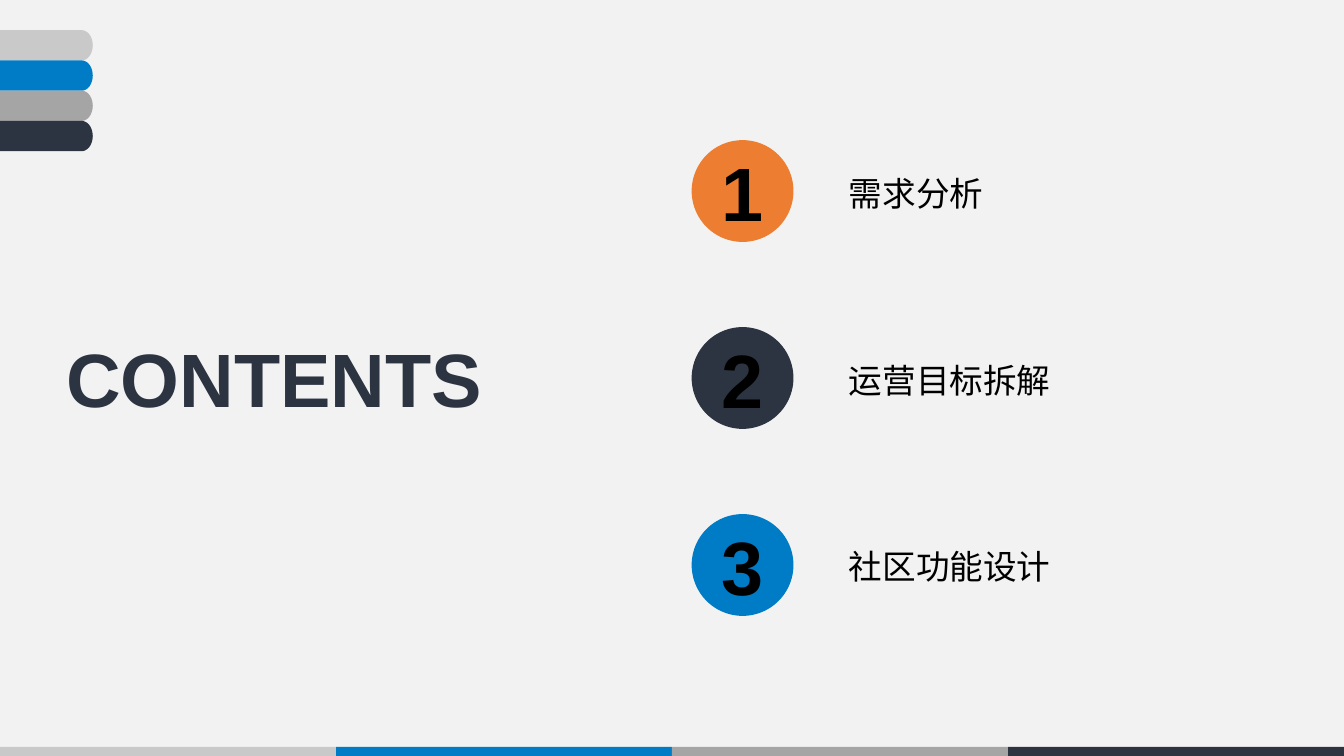
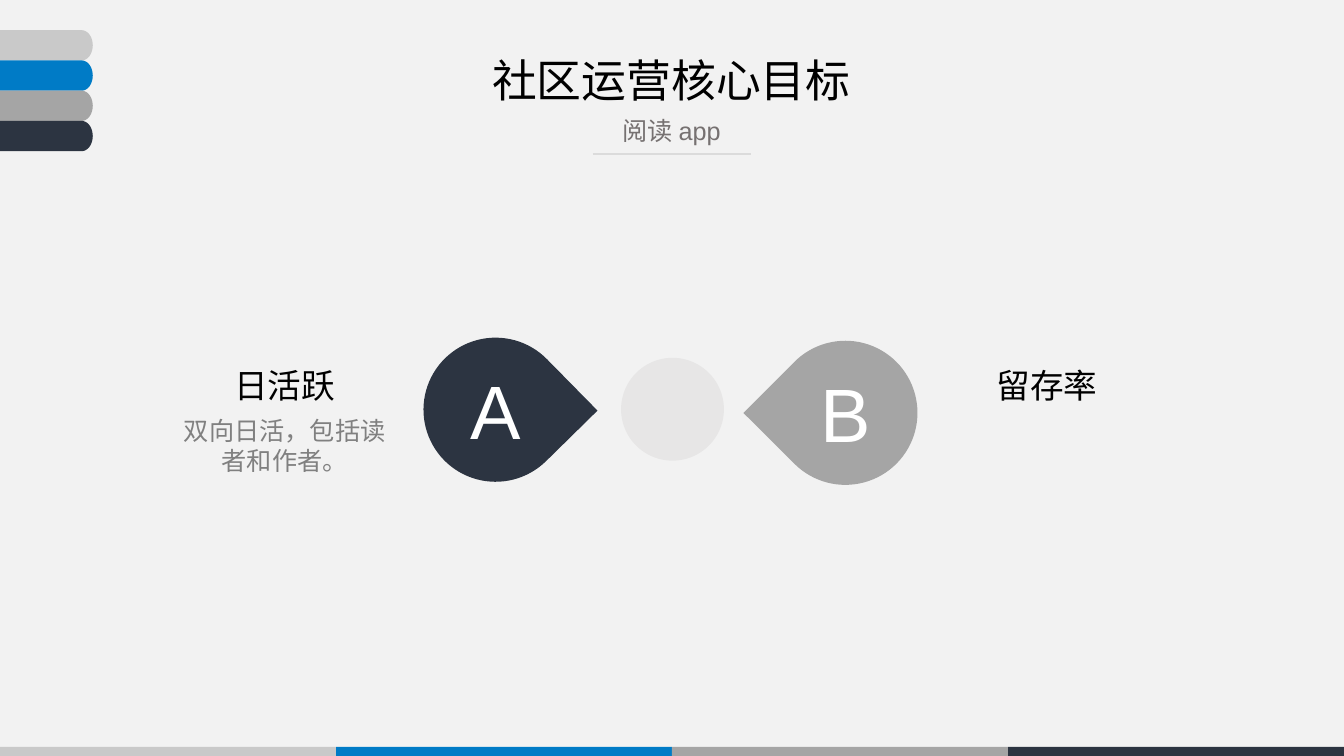
import math

import pptx
import pptx.dml.color
import pptx.enum.shapes
import pptx.enum.text
import pptx.oxml.ns
import pptx.util
from lxml import etree
from pptx.util import Inches

FONT = "Arial"
COLORS = {
    "paper": "F2F2F2", "silver": "C9C9C9", "blue": "007BC6", "gray": "A5A5A5",
    "navy": "2C3441", "orange": "ED7D31", "black": "000000", "white": "FFFFFF",
    "pale": "E7E6E6", "rule": "DBDBDB", "subtitle": "767171", "detail": "808080",
}
THEME_BANDS = ["silver", "blue", "gray", "navy"]
CHAPTERS = [("需求分析", "orange"), ("运营目标拆解", "navy"), ("社区功能设计", "blue")]
# letter, colour, drop left, drop top, rotation, text left, heading, detail
GOALS = [
    ("A", "navy", 4.2, 3.35, 45.5, 1.66, "日活跃", "双向日活，包括读者和作者。"),
    ("B", "gray", 7.67, 3.38, 224.9, 9.22, "留存率", ""),
]

SHAPE = pptx.enum.shapes.MSO_SHAPE
ANCHOR = pptx.enum.text.MSO_ANCHOR
ALIGN = pptx.enum.text.PP_ALIGN


def rgb(name):
    return pptx.dml.color.RGBColor.from_string(COLORS[name])


def paint(shape, color):
    shape.shadow.inherit = False
    shape.fill.solid()
    shape.fill.fore_color.rgb = rgb(color)
    shape.line.fill.background()
    return shape


def add_figure(slide, kind, left, top, width, height, color):
    shape = slide.shapes.add_shape(
        kind, Inches(left), Inches(top), Inches(width), Inches(height))
    return paint(shape, color)


def write(shape, text, size, color, bold=False, align=ALIGN.CENTER,
          anchor=ANCHOR.TOP, wrap=True, spacing=1.0, before=0):
    frame = shape.text_frame
    frame.auto_size = pptx.enum.text.MSO_AUTO_SIZE.NONE
    frame.word_wrap = wrap
    frame.vertical_anchor = anchor
    para = frame.paragraphs[0]
    para.alignment = align
    para.line_spacing = spacing
    para.space_before = pptx.util.Pt(before)
    span = para.add_run()
    span.text = text
    span.font.name = FONT
    span.font.size = pptx.util.Pt(size)
    span.font.bold = bold
    span.font.color.rgb = rgb(color)


def add_text(slide, left, top, width, height, text, size, color, **style):
    box = slide.shapes.add_textbox(
        Inches(left), Inches(top), Inches(width), Inches(height))
    write(box, text, size, color, **style)


def set_title(slide, left, top, width, height, text, size, color, **style):
    title = slide.shapes.title
    title.left, title.top = Inches(left), Inches(top)
    title.width, title.height = Inches(width), Inches(height)
    write(title, text, size, color, **style)


def add_tab(slide, top, color):
    """Draw a tab from the left edge whose right end is a half ellipse."""
    straight, bulge, height, steps = 0.81, 0.11, 0.3, 24
    angles = [math.pi * (step / steps - 0.5) for step in range(steps + 1)]
    curve = [(Inches(straight + bulge * math.cos(angle)),
              Inches(top + height / 2 * (1 + math.sin(angle)))) for angle in angles]
    outline = slide.shapes.build_freeform(0, Inches(top))
    outline.add_line_segments(curve + [(0, Inches(top + height))], close=True)
    return paint(outline.convert_to_shape(), color)


def decorate_master(deck, slide):
    """Give the master its background, bottom band and corner tabs.

    Masters cannot add shapes themselves, so the slide makes them first.
    """
    master = deck.slide_master
    master.background.fill.solid()
    master.background.fill.fore_color.rgb = rgb("paper")
    width = 13.33 / len(THEME_BANDS)
    for index, color in enumerate(THEME_BANDS):
        band = add_figure(slide, SHAPE.RECTANGLE, index * width, 7.41, width, 0.12, color)
        tab = add_tab(slide, 0.3 * (index + 1), color)
        for shape in (band, tab):
            master.shapes._spTree.append(shape._element)


def build_contents(slide):
    set_title(slide, 0.5, 3.24, 4.44, 1.01, "CONTENTS", 54, "navy",
              bold=True, wrap=False)
    for index, (chapter, color) in enumerate(CHAPTERS):
        top = 1.39 + index * 1.855
        circle = add_figure(slide, SHAPE.OVAL, 6.86, top, 1.01, 1.01, color)
        write(circle, str(index + 1), 54, "black", bold=True,
              anchor=ANCHOR.MIDDLE, wrap=False)
        circle.text_frame.margin_top = circle.text_frame.margin_bottom = 0
        add_text(slide, 8.32, top + 0.23, 3.38, 0.54, chapter, 24, "black",
                 align=ALIGN.LEFT, anchor=ANCHOR.BOTTOM)


def build_goals(slide):
    set_title(slide, 2.35, 0.54, 8.62, 0.6, "社区运营核心目标", 32, "black",
              anchor=ANCHOR.MIDDLE, spacing=0.8)
    add_text(slide, 2.35, 1.13, 8.62, 0.39, "阅读 app", 18, "subtitle",
             spacing=0.9, before=7.5)
    rule = slide.shapes.add_connector(
        pptx.enum.shapes.MSO_CONNECTOR.STRAIGHT,
        Inches(5.88), Inches(1.53), Inches(7.45), Inches(1.53))
    rule.line.color.rgb = rgb("rule")
    rule.line.width = pptx.util.Pt(1.5)
    etree.SubElement(rule._element.spPr, pptx.oxml.ns.qn("a:effectLst"))

    add_figure(slide, SHAPE.OVAL, 6.16, 3.55, 1.02, 1.02, "pale")
    for letter, color, left, top, turn, text_left, heading, detail in GOALS:
        drop = add_figure(slide, SHAPE.TEAR, left, top, 1.43, 1.43, color)
        drop.rotation = turn
        add_text(slide, left + 0.175, top + 0.15, 1.08, 1.12, letter, 54, "white",
                 anchor=ANCHOR.MIDDLE)
        add_text(slide, text_left, 3.43, 2.33, 0.64, heading, 24, "black",
                 anchor=ANCHOR.BOTTOM)
        if detail:
            add_text(slide, text_left, 4.07, 2.33, 1.21, detail, 18, "detail")


def main():
    deck = pptx.Presentation()
    deck.slide_width, deck.slide_height = Inches(13.33), Inches(7.5)
    title_only = deck.slide_layouts[5]
    contents = deck.slides.add_slide(title_only)
    decorate_master(deck, contents)
    build_contents(contents)
    build_goals(deck.slides.add_slide(title_only))
    deck.save("out.pptx")


if __name__ == "__main__":
    main()
